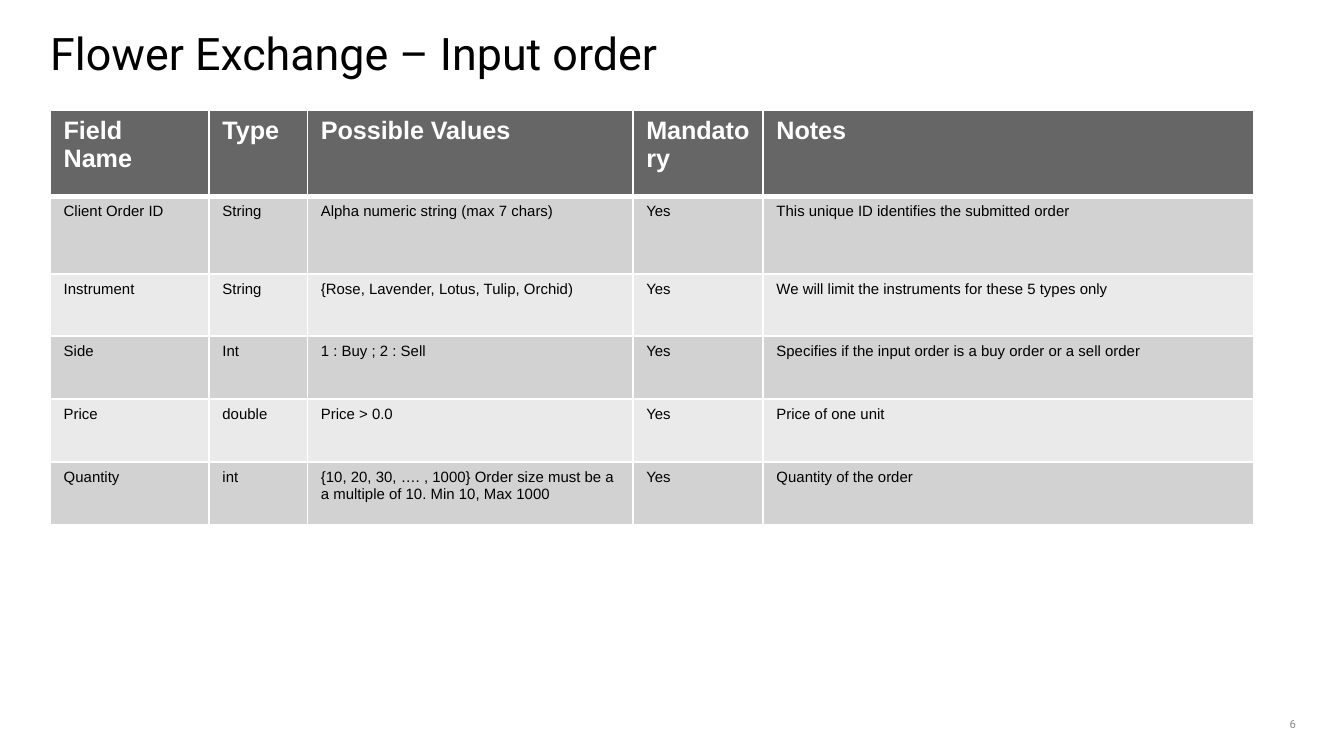
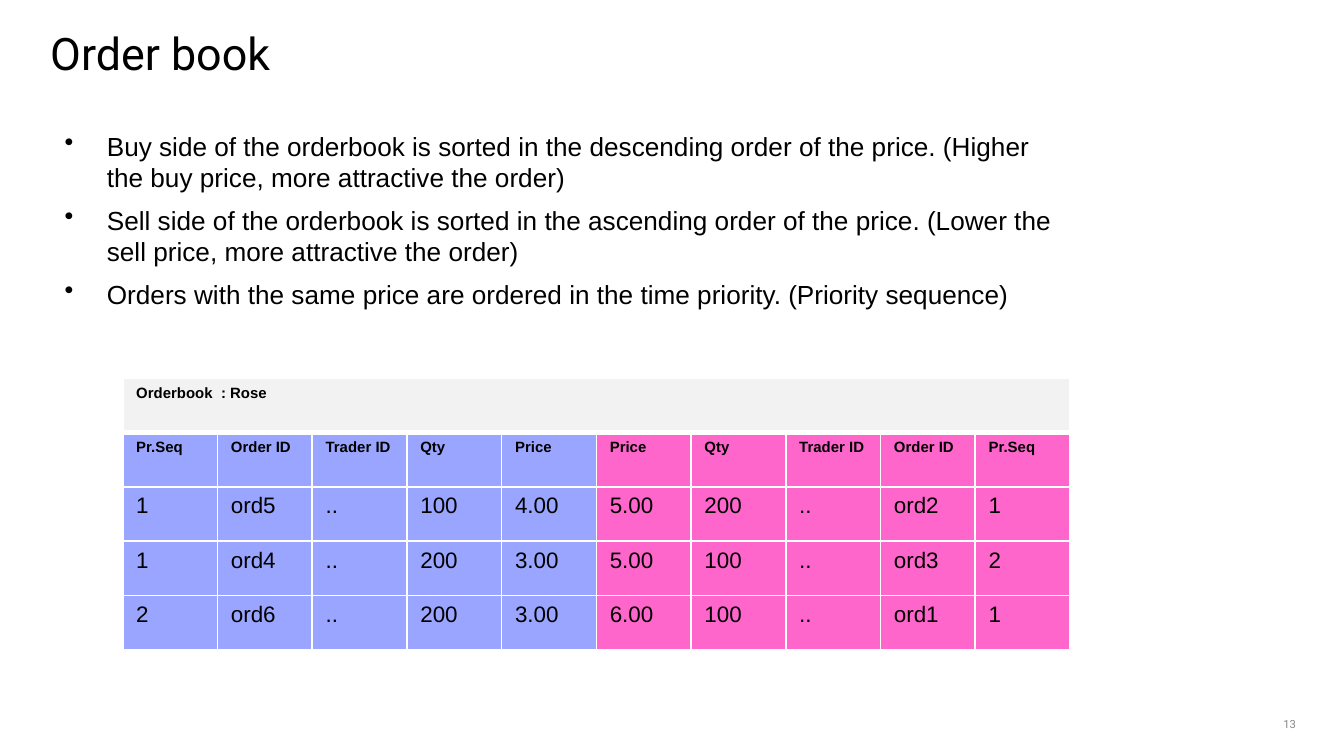
import pptx
import pptx.util
import pptx.dml.color
import pptx.enum.text
import pptx.oxml.ns
import lxml.etree
from dataclasses import dataclass

Cm, Pt = pptx.util.Cm, pptx.util.Pt
ANCHOR, ALIGN = pptx.enum.text.MSO_ANCHOR, pptx.enum.text.PP_ALIGN

# Content
FIELDS = [
    ("Field Name", "Type", "Possible Values", "Mandatory", "Notes"),
    ("Client Order ID", "String", "Alpha numeric string (max 7 chars)", "Yes",
     "This unique ID identifies the submitted order"),
    ("Instrument", "String", "{Rose, Lavender, Lotus, Tulip, Orchid)", "Yes",
     "We will limit the instruments for these 5 types only"),
    ("Side", "Int", "1 : Buy ; 2 : Sell", "Yes",
     "Specifies if the input order is a buy order or a sell order"),
    ("Price", "double", "Price > 0.0", "Yes", "Price of one unit"),
    ("Quantity", "int",
     "{10, 20, 30, …. , 1000} Order size must be a a multiple of 10. Min 10, Max 1000",
     "Yes", "Quantity of the order"),
]
RULES = [
    "Buy side of the orderbook is sorted in the descending order of the price. "
    "(Higher the buy price, more attractive the order)",
    "Sell side of the orderbook is sorted in the ascending order of the price. "
    "(Lower the sell price, more attractive the order)",
    "Orders with the same price are ordered in the time priority. (Priority sequence)",
]
BOOK = "Orderbook  : Rose"
HEADS = ("Pr.Seq", "Order ID", "Trader ID", "Qty", "Price")
BUYS = [
    ("1", "ord5", "..", "100", "4.00"),
    ("1", "ord4", "..", "200", "3.00"),
    ("2", "ord6", "..", "200", "3.00"),
]
SELLS = [
    ("1", "ord2", "..", "200", "5.00"),
    ("2", "ord3", "..", "100", "5.00"),
    ("1", "ord1", "..", "100", "6.00"),
]


@dataclass(frozen=True)
class Theme:
    head: str = "Roboto"
    body: str = "Arial"
    ink: str = "000000"
    white: str = "FFFFFF"
    muted: str = "888888"
    dark: str = "666666"
    bands: tuple = ("EAEAEA", "D2D2D2")
    pale: str = "F2F2F2"
    buy: str = "99A5FE"
    sell: str = "FF66CC"
    title: float = 24
    list: float = 14
    label: float = 13.5
    cell: float = 12
    small: float = 8
    foot: float = 6
    rule: float = 1
    thick: float = 3


T = Theme()


def color(code):
    return pptx.dml.color.RGBColor.from_string(code)


def style(para, size, font=T.body, ink=T.ink, bold=False):
    for run in para.runs:
        run.font.size = Pt(size)
        run.font.name = font
        run.font.color.rgb = color(ink)
        run.font.bold = bold


def text(slide, box, lines, size, font=T.body, ink=T.ink):
    """Add a wrapped text box without margins, one paragraph a line."""
    frame = slide.shapes.add_textbox(*map(Cm, box)).text_frame
    frame.word_wrap = True
    frame.margin_left = frame.margin_right = 0
    frame.margin_top = frame.margin_bottom = 0
    frame.text = "\n".join(lines)
    for para in frame.paragraphs:
        style(para, size, font, ink)
    return frame


def page(deck, title, number):
    """Start a slide with the shared title and page number."""
    slide = deck.slides.add_slide(deck.slide_layouts[6])
    text(slide, (0.95, 0.49, 23.52, 1.32), [title], T.title, T.head)
    foot = text(slide, (23.47, 13.18, 1.02, 0.64), [number], T.foot, T.head, T.muted)
    foot.vertical_anchor = ANCHOR.BOTTOM
    foot.paragraphs[0].alignment = ALIGN.RIGHT
    return slide


def bullet(para):
    props = para._p.get_or_add_pPr()
    props.set("marL", str(Cm(0.8)))
    props.set("indent", str(-Cm(0.8)))
    mark = lxml.etree.SubElement(props, pptx.oxml.ns.qn("a:buChar"))
    mark.set("char", "•")


def border(cell, row):
    """Draw white edges, with a thick one below the first row."""
    props = cell._tc.get_or_add_tcPr()
    widths = {"L": T.rule, "R": T.rule,
              "T": T.thick if row == 1 else T.rule,
              "B": T.thick if row == 0 else T.rule}
    for spot, (side, width) in enumerate(widths.items()):
        line = lxml.etree.Element(pptx.oxml.ns.qn("a:ln" + side), w=str(Pt(width)))
        fill = lxml.etree.SubElement(line, pptx.oxml.ns.qn("a:solidFill"))
        lxml.etree.SubElement(fill, pptx.oxml.ns.qn("a:srgbClr"), val=T.white)
        props.insert(spot, line)


def table(slide, left, top, cols, rows, data, look):
    """Add a table; look(row, col) gives fill, size, ink and bold."""
    grid = slide.shapes.add_table(
        len(rows), len(cols), Cm(left), Cm(top), Cm(sum(cols)), Cm(sum(rows))).table
    grid.horz_banding = False
    for col, width in zip(grid.columns, cols):
        col.width = Cm(width)
    for row, height in zip(grid.rows, rows):
        row.height = Cm(height)
    for r, line in enumerate(data):
        for c, word in enumerate(line):
            cell = grid.cell(r, c)
            fill, size, ink, bold = look(r, c)
            cell.text_frame.text = word
            style(cell.text_frame.paragraphs[0], size, ink=ink, bold=bold)
            cell.fill.solid()
            cell.fill.fore_color.rgb = color(fill)
            border(cell, r)
    return grid


def field(row, col):
    if row == 0:
        return T.dark, T.label, T.white, True
    return T.bands[row % 2], T.small, T.ink, False


def order(row, col):
    if row == 0:
        return T.pale, T.small, T.ink, True
    fill = T.buy if col < len(HEADS) else T.sell
    return fill, T.small if row == 1 else T.cell, T.ink, row == 1


def main():
    deck = pptx.Presentation()
    deck.slide_width, deck.slide_height = Cm(25.4), Cm(14.29)

    # Input order fields
    slide = page(deck, "Flower Exchange – Input order", "6")
    table(slide, 0.95, 2.09, (3, 1.86, 6.15, 2.46, 9.27),
          (1.62, 1.47, 1.17, 1.19, 1.19, 1.19), FIELDS, field)

    # Order book rules
    slide = page(deck, "Order book", "13")
    rules = text(slide, (1.22, 2.46, 19, 5.87), RULES, T.list)
    for spot, para in enumerate(rules.paragraphs):
        para.space_before = Pt(6 if spot else 0)
        bullet(para)

    # Order book table: the sell side mirrors the buy side
    sides = zip([HEADS] + BUYS, [HEADS] + SELLS)
    data = [(BOOK,) + ("",) * (2 * len(HEADS) - 1)]
    data += [buy + sell[::-1] for buy, sell in sides]
    grid = table(slide, 2.32, 7.14, [1.79] * len(data[0]), [1.03] * len(data), data, order)
    grid.cell(0, 0).merge(grid.cell(0, len(data[0]) - 1))

    deck.save("out.pptx")


if __name__ == "__main__":
    main()
